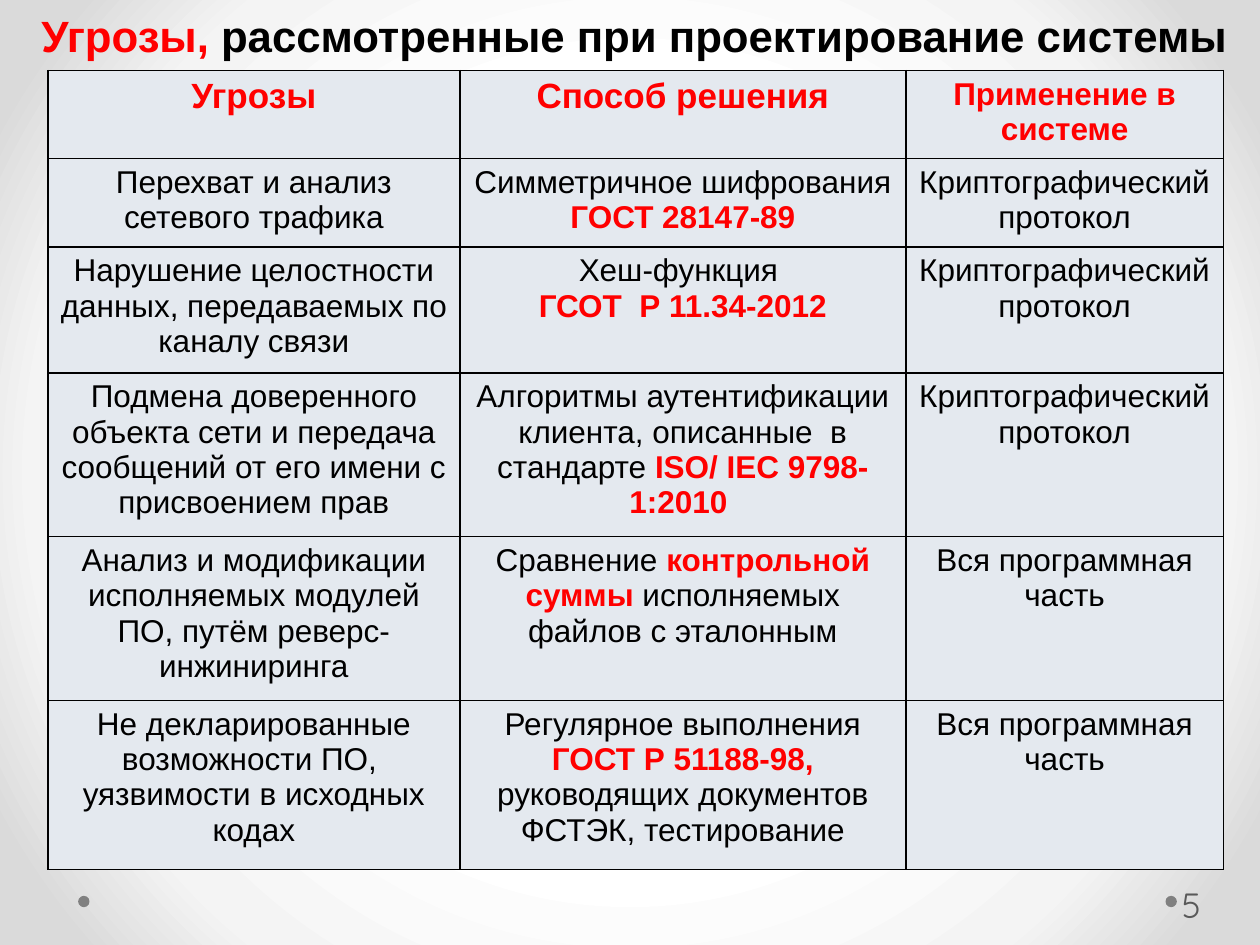
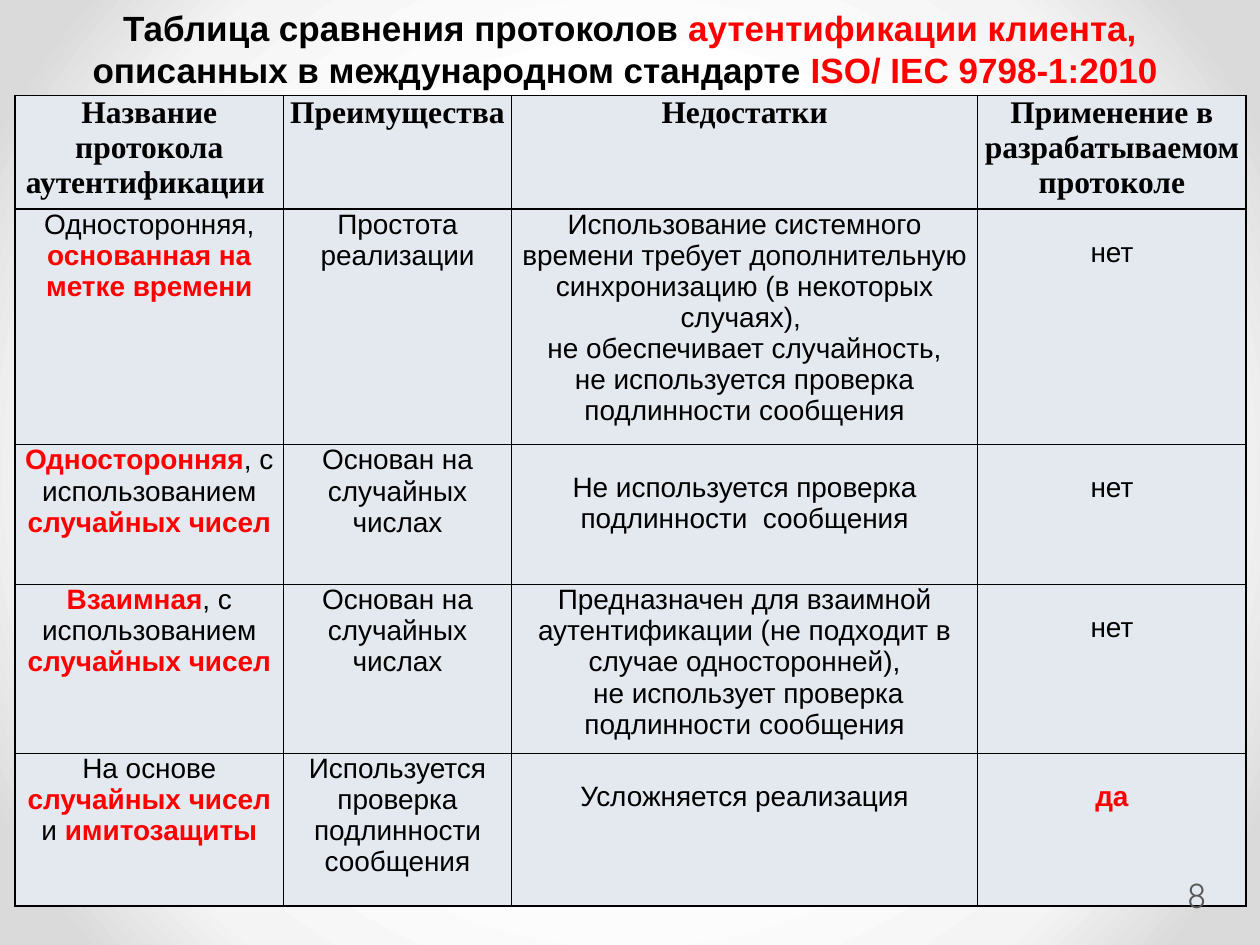
from dataclasses import dataclass

from pptx import Presentation
from pptx.dml.color import RGBColor
from pptx.enum.shapes import MSO_SHAPE
from pptx.enum.text import MSO_ANCHOR, MSO_AUTO_SIZE, PP_ALIGN
from pptx.oxml import parse_xml
from pptx.oxml.ns import nsdecls, qn
from pptx.util import Inches, Pt

OVAL = MSO_SHAPE.OVAL
TOP, MIDDLE = MSO_ANCHOR.TOP, MSO_ANCHOR.MIDDLE
CENTER, LEFT = PP_ALIGN.CENTER, PP_ALIGN.LEFT
NO_AUTOFIT = MSO_AUTO_SIZE.NONE
TITLE_ONLY = 5


@dataclass(frozen=True)
class Theme:
    ink: str = "000000"
    accent: str = "FF0000"
    cell: str = "E4E9EF"
    dot: str = "808080"
    number: str = "595959"
    backdrop: tuple = ((50, "FFFFFF"), (76, "F4F4F4"), (92, "DADADA"))
    font: str = "Arial"
    serif: str = "Times New Roman"
    number_font: str = "Quicksand"
    number_size: int = 20
    border: int = 1


@dataclass(frozen=True)
class TextStyle:
    size: int
    bold: bool = False
    font: str = Theme.font
    color: str = Theme.ink


class Deck:
    def __init__(self, theme):
        self.theme = theme
        self.prs = Presentation()
        self.prs.slide_width, self.prs.slide_height = Inches(10), Inches(7.5)
        self.slide = None
        self.paint_backdrop()

    def paint_backdrop(self):
        """Give the master a radial gradient, lightest in the middle."""
        master = self.prs.slide_master
        master.background.fill.solid()
        solid = next(master.element.iter(qn("p:bgPr"))).find(qn("a:solidFill"))
        stops = "".join(
            f'<a:gs pos="{position * 1000}"><a:srgbClr val="{color}"/></a:gs>'
            for position, color in self.theme.backdrop)
        solid.getparent().replace(solid, parse_xml(
            f'<a:gradFill {nsdecls("a")}><a:gsLst>{stops}</a:gsLst><a:path path="circle">'
            '<a:fillToRect l="50000" t="50000" r="50000" b="50000"/></a:path></a:gradFill>'))

    def fill_text(self, frame, text, style, align=CENTER):
        """Each line is a paragraph; text between asterisks is bold and accented."""
        for index, line in enumerate(text.split("\n")):
            paragraph = frame.add_paragraph() if index else frame.paragraphs[0]
            paragraph.alignment = align
            paragraph.font.name = style.font
            paragraph.font.size = Pt(style.size)
            for part, words in enumerate(line.split("*")):
                if words:
                    marked = part % 2 == 1
                    run = paragraph.add_run()
                    run.text = words
                    run.font.bold = marked or style.bold
                    color = self.theme.accent if marked else style.color
                    run.font.color.rgb = RGBColor.from_string(color)

    def new_slide(self):
        layout = self.prs.slide_layouts[TITLE_ONLY]
        self.slide = self.prs.slides.add_slide(layout)
        for left in (0.62, 9.25):
            self.footer_dot(left)

    def footer_dot(self, left):
        dot = self.slide.shapes.add_shape(
            OVAL, Inches(left), Inches(7.11), Inches(0.09), Inches(0.09))
        dot.shadow.inherit = False
        dot.fill.solid()
        dot.fill.fore_color.rgb = RGBColor.from_string(self.theme.dot)
        dot.line.fill.background()

    def title(self, text, box, size):
        heading = self.slide.shapes.title
        heading.left, heading.top, heading.width, heading.height = map(Inches, box)
        frame = heading.text_frame
        frame.word_wrap = True
        frame.auto_size = NO_AUTOFIT
        frame.vertical_anchor = TOP
        self.fill_text(frame, text, TextStyle(size, bold=True))

    def page_number(self, number, left, top):
        box = self.slide.shapes.add_textbox(
            Inches(left), Inches(top), Inches(0.61), Inches(0.4))
        frame = box.text_frame
        frame.word_wrap = True
        frame.vertical_anchor = MIDDLE
        frame.margin_left = Inches(0.03)
        frame.margin_right = Inches(0.05)
        style = TextStyle(self.theme.number_size, font=self.theme.number_font,
                          color=self.theme.number)
        self.fill_text(frame, str(number), style, LEFT)

    def table(self, left, top, widths, heights, rows, style_at, insets, lowered=()):
        """style_at(row, column) picks the text style; lowered cells start a line down."""
        table = self.slide.shapes.add_table(
            len(rows), len(widths), Inches(left), Inches(top),
            Inches(sum(widths)), Inches(sum(heights))).table
        table.horz_banding = False
        for column, width in zip(table.columns, widths):
            column.width = Inches(width)
        for row, height in zip(table.rows, heights):
            row.height = Inches(height)
        side, edge = insets
        for r, texts in enumerate(rows):
            for c, text in enumerate(texts):
                cell = table.cell(r, c)
                cell.margin_left = cell.margin_right = Inches(side)
                cell.margin_top = Inches(0.22 if (r, c) in lowered else edge)
                cell.margin_bottom = Inches(edge)
                cell.fill.solid()
                cell.fill.fore_color.rgb = RGBColor.from_string(self.theme.cell)
                self.outline(cell)
                self.fill_text(cell.text_frame, text, style_at(r, c))

    def outline(self, cell):
        properties = cell._tc.get_or_add_tcPr()
        for index, side in enumerate("LRTB"):
            properties.insert(index, parse_xml(
                f'<a:ln{side} {nsdecls("a")} w="{Pt(self.theme.border)}"><a:solidFill>'
                f'<a:srgbClr val="{self.theme.ink}"/></a:solidFill></a:ln{side}>'))


PROTOCOL = "Криптографический протокол"
WHOLE_PROGRAM = "Вся программная часть"
RANDOM_BASED = "Основан на случайных числах"

THREATS = [
    ("*Угрозы*", "*Способ решения*", "*Применение в системе*"),
    ("Перехват и анализ сетевого трафика",
     "Симметричное шифрования \n*ГОСТ 28147-89*", PROTOCOL),
    ("Нарушение целостности данных, передаваемых по каналу связи",
     "Хеш-функция \n*ГСОТ  Р 11.34-2012*", PROTOCOL),
    ("Подмена доверенного объекта сети и передача сообщений от его имени с присвоением прав",
     "Алгоритмы аутентификации клиента, описанные  в стандарте *ISO/ IEC 9798-1:2010 *",
     PROTOCOL),
    ("Анализ и модификации исполняемых модулей ПО, путём реверс-инжиниринга",
     "Сравнение *контрольной суммы* исполняемых файлов с эталонным", WHOLE_PROGRAM),
    ("Не декларированные возможности ПО,  уязвимости в исходных кодах",
     "Регулярное выполнения *ГОСТ Р 51188-98,* руководящих документов ФСТЭК, тестирование",
     WHOLE_PROGRAM),
]

AUTHENTICATION = [
    ("Название протокола аутентификации ", "Преимущества", "Недостатки",
     "Применение в разрабатываемом протоколе"),
    ("Односторонняя, *основанная на метке времени*", "Простота реализации",
     "Использование системного времени требует дополнительную синхронизацию "
     "(в некоторых случаях), \nне обеспечивает случайность,\n"
     "не используется проверка подлинности сообщения", "нет"),
    ("*Односторонняя*, с использованием *случайных чисел*", RANDOM_BASED,
     "Не используется проверка подлинности  сообщения", "нет"),
    ("*Взаимная*, с использованием *случайных чисел*", RANDOM_BASED,
     "Предназначен для взаимной аутентификации (не подходит в случае односторонней),\n"
     " не использует проверка подлинности сообщения", "нет"),
    ("На основе *случайных чисел *и *имитозащиты*",
     "Используется проверка подлинности сообщения", "Усложняется реализация", "*да*"),
]


def threats_slide(deck):
    deck.new_slide()
    deck.title("*Угрозы,* рассмотренные при проектирование системы ",
               (0.14, 0.02, 9.88, 0.52), 25)
    large, body = TextStyle(20), TextStyle(18)
    deck.table(0.38, 0.56, (3.27, 3.54, 2.52), (0.7, 0.7, 1, 1.3, 1.3, 1.34), THREATS,
               lambda r, c: large if r == 0 and c < 2 else body, (0.1, 0.05))
    deck.page_number(5, 9.35, 6.98)


def authentication_slide(deck):
    deck.new_slide()
    deck.title("Таблица сравнения протоколов *аутентификации клиента, *"
               "описанных в международном стандарте *ISO/ IEC 9798-1:2010 *",
               (0.12, 0, 9.76, 1.19), 20)
    header, body = TextStyle(18, bold=True, font=deck.theme.serif), TextStyle(16)
    verdicts = {(row, 3) for row in range(1, len(AUTHENTICATION))}
    deck.table(0.12, 0.76, (2.13, 1.81, 3.7, 2.13), (0.9, 1.87, 1.11, 1.34, 1.21),
               AUTHENTICATION, lambda r, c: body if r else header, (0.05, 0),
               verdicts | {(2, 2), (4, 2)})
    deck.page_number(8, 9.39, 6.9)


def main():
    deck = Deck(Theme())
    threats_slide(deck)
    authentication_slide(deck)
    deck.prs.save("out.pptx")


if __name__ == "__main__":
    main()
